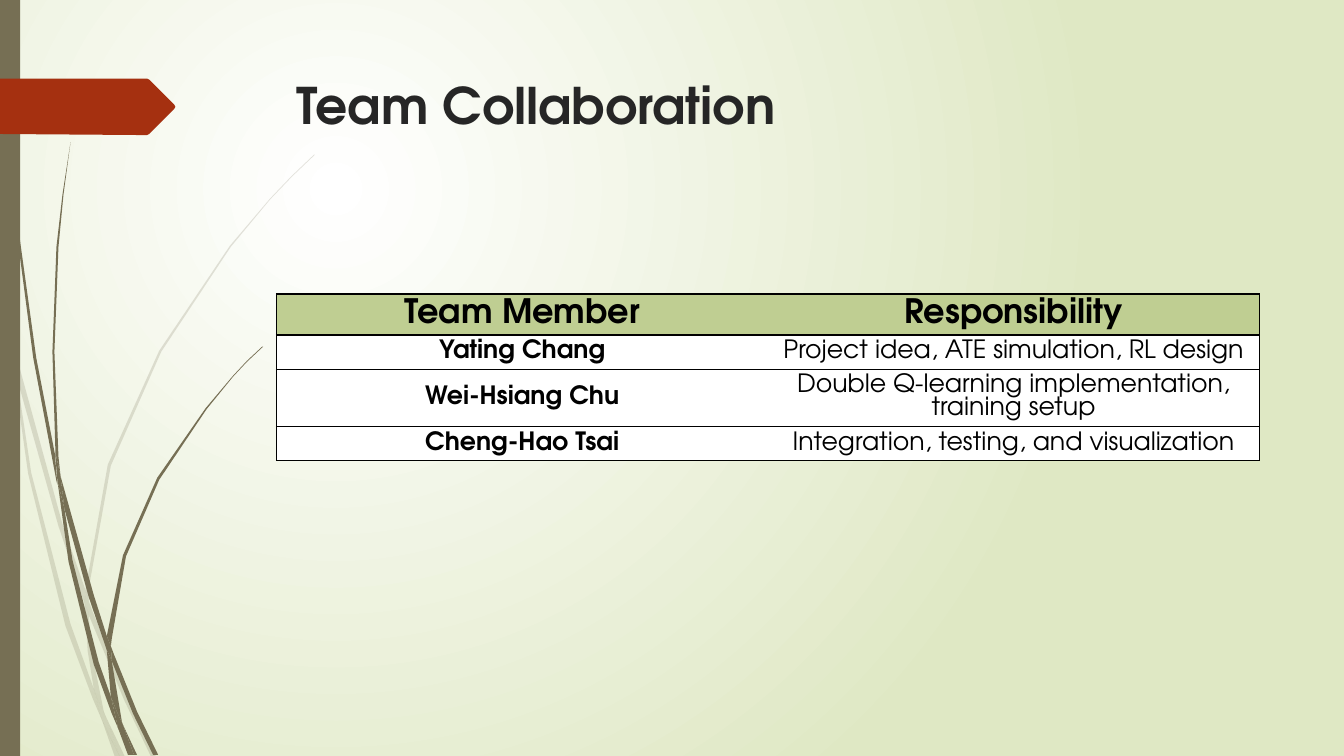
from dataclasses import dataclass

from lxml.etree import SubElement
from pptx import Presentation
from pptx.dml.color import RGBColor
from pptx.enum.shapes import MSO_SHAPE
from pptx.enum.text import MSO_ANCHOR, MSO_AUTO_SIZE, PP_ALIGN
from pptx.oxml.ns import qn
from pptx.util import Pt

RECTANGLE = MSO_SHAPE.RECTANGLE
TOP, MIDDLE = MSO_ANCHOR.TOP, MSO_ANCHOR.MIDDLE
LEFT, CENTER = PP_ALIGN.LEFT, PP_ALIGN.CENTER
NO_AUTOFIT = MSO_AUTO_SIZE.NONE

FONT = "TeX Gyre Adventor"
COLORS = {
    "glow": "FFFFFF",
    "meadow": "DFE8C4",
    "stem": "766F54",
    "arrow": "A53010",
    "title": "262626",
    "text": "000000",
    "border": "000000",
    "header": "BFCE92",
    "body": "FFFFFF",
}
OUTLINE_UNIT = Pt(0.72)


@dataclass(frozen=True)
class Grass:
    opacity: int
    blades: tuple[tuple[int, ...], ...]


@dataclass(frozen=True)
class Row:
    member: str
    responsibility: str
    height: float
    size: int = 18
    spacing: float = 16.5
    fill: str = "body"
    bold_responsibility: bool = False


PALE_GRASS = Grass(20, (
    (11, 350, 9, 322, 0, 282, 0, 299, 10, 344),
    (58, 522, 84, 599, 85, 586, 62, 520, 14, 345, 17, 376),
    (92, 607, 88, 596, 88, 610, 123, 694, 150, 751, 155, 751, 127, 692),
    (119, 751, 124, 751, 105, 711),
    (93, 683, 70, 619, 31, 469, 17, 376, 11, 350, 28, 470, 65, 621, 92, 693,
     101, 714, 99, 707),
    (84, 599, 87, 646, 93, 683, 96, 692, 105, 711, 103, 706, 91, 646, 88, 610, 88, 608),
    (88, 584, 110, 462, 160, 349, 229, 245, 268, 198, 290, 175, 312, 154, 312, 153,
     289, 175, 268, 197, 228, 244, 158, 348, 107, 461, 85, 584, 85, 586, 88, 596),
    (101, 714, 114, 751, 119, 751),
    (88, 608, 88, 610, 88, 596, 85, 586, 84, 599),
    (96, 692, 93, 683, 99, 707, 101, 714, 119, 751, 105, 711),
))

DARK_GRASS = Grass(100, (
    (7, 110, 17, 233, 33, 355, 56, 477, 57, 481, 55, 457, 55, 453, 36, 355,
     19, 232, 8, 109, 5, 48, 4, 0, 3, 0, 4, 48),
    (88, 592, 106, 645, 106, 633, 106, 631, 93, 590, 60, 472, 64, 505),
    (113, 649, 110, 641, 111, 656, 132, 708, 152, 749, 157, 749, 136, 706),
    (110, 691, 98, 657, 72, 556, 64, 505, 57, 477, 68, 557, 93, 659, 111, 708,
     117, 722, 116, 717),
    (60, 472, 58, 453, 54, 349, 58, 245, 63, 193, 70, 141, 62, 193, 56, 245,
     52, 349, 55, 449),
    (133, 749, 136, 749, 122, 719),
    (57, 477, 64, 505, 60, 472, 55, 449, 55, 453),
    (111, 633, 125, 552, 158, 476, 205, 406, 231, 374, 245, 359, 261, 344, 260, 344,
     245, 358, 231, 373, 204, 405, 156, 474, 122, 551, 106, 631, 110, 641),
    (117, 722, 127, 749, 131, 749),
    (106, 645, 110, 691, 116, 706, 122, 719, 121, 716, 111, 656, 109, 651),
    (106, 645, 109, 651, 111, 656, 110, 641, 106, 631),
    (116, 706, 110, 691, 116, 717, 117, 722, 130, 749, 133, 749, 122, 719),
))

ARROW = (173, 108, 148, 133, 146, 134, 136, 134, 0, 133, 0, 78, 146, 78, 148, 79,
         173, 104, 174, 106)

ROWS = (
    Row("Team Member", "Responsibility", 29.3, 24, 22, "header", True),
    Row("Yating Chang", "Project idea, ATE simulation, RL design", 24.5),
    Row("Wei-Hsiang Chu", "Double Q-learning implementation, training setup", 40.7),
    Row("Cheng-Hao Tsai", "Integration, testing, and visualization", 24.5),
)


def rgb(name: str) -> RGBColor:
    return RGBColor.from_string(COLORS[name])


def paint(shape, color: str, opacity: int = 100) -> None:
    shape.shadow.inherit = False
    shape.line.fill.background()
    shape.fill.solid()
    shape.fill.fore_color.rgb = rgb(color)
    if opacity < 100:
        color_node = shape.element.spPr.find(qn("a:solidFill"))[0]
        SubElement(color_node, qn("a:alpha")).set("val", str(opacity * 1000))


def draw_outline(shapes, numbers: tuple[int, ...], color: str, opacity: int = 100) -> None:
    start, *others = zip(numbers[::2], numbers[1::2])
    builder = shapes.build_freeform(*start, scale=OUTLINE_UNIT)
    builder.add_line_segments(others, close=True)
    paint(builder.convert_to_shape(), color, opacity)


def draw_grass(page, grass: Grass) -> None:
    group = page.shapes.add_group_shape()
    for blade in grass.blades:
        draw_outline(group.shapes, blade, "stem", grass.opacity)


def fill_background(page) -> None:
    fill = page.background.fill
    fill.gradient()
    for stop, color in zip(fill.gradient_stops, ("glow", "meadow")):
        stop.color.rgb = rgb(color)
    linear = page.element.find(".//" + qn("a:lin"))
    gradient = linear.getparent()
    gradient.remove(linear)
    circle = SubElement(gradient, qn("a:path"))
    circle.set("path", "circle")
    focus = SubElement(circle, qn("a:fillToRect"))
    for side, value in zip("ltrb", (50000, 50000, 100000, 100000)):
        focus.set(side, str(value))


def style_font(font, size: int, color: str, bold: bool) -> None:
    font.name = FONT
    font.size = Pt(size)
    font.bold = bold
    font.color.rgb = rgb(color)


def set_title(page, text: str) -> None:
    title = page.shapes.title
    title.left, title.top, title.width, title.height = Pt(204.5), Pt(49), Pt(702), Pt(101)
    frame = title.text_frame
    frame.text = text
    frame.auto_size = NO_AUTOFIT
    frame.vertical_anchor = TOP
    para = frame.paragraphs[0]
    para.alignment = LEFT
    style_font(para.font, 36, "title", True)


def set_borders(cell, open_side: str) -> None:
    properties = cell._tc.get_or_add_tcPr()
    for position, side in enumerate("LRTB"):
        line = properties.makeelement(qn("a:ln" + side), {"w": str(Pt(1))})
        properties.insert(position, line)
        if side == open_side:
            SubElement(line, qn("a:noFill"))
        else:
            solid = SubElement(line, qn("a:solidFill"))
            SubElement(solid, qn("a:srgbClr")).set("val", COLORS["border"])


def fill_cell(cell, text: str, row: Row, bold: bool, open_side: str) -> None:
    cell.text = text
    cell.vertical_anchor = MIDDLE
    cell.fill.solid()
    cell.fill.fore_color.rgb = rgb(row.fill)
    para = cell.text_frame.paragraphs[0]
    para.alignment = CENTER
    para.line_spacing = Pt(row.spacing)
    style_font(para.font, row.size, "text", bold)
    set_borders(cell, open_side)


def draw_table(page) -> None:
    height = sum(row.height for row in ROWS)
    frame = page.shapes.add_table(len(ROWS), 2, Pt(197.5), Pt(210), Pt(702), Pt(height))
    table = frame.table
    table.first_row = False
    table.horz_banding = False
    for index, row in enumerate(ROWS):
        table.rows[index].height = Pt(row.height)
        fill_cell(table.cell(index, 0), row.member, row, True, "R")
        fill_cell(table.cell(index, 1), row.responsibility, row, row.bold_responsibility, "L")


def main() -> None:
    deck = Presentation()
    deck.slide_width, deck.slide_height = Pt(960), Pt(540)
    page = deck.slides.add_slide(deck.slide_layouts[5])
    fill_background(page)
    draw_grass(page, PALE_GRASS)
    draw_grass(page, DARK_GRASS)
    paint(page.shapes.add_shape(RECTANGLE, 0, 0, Pt(14.4), Pt(540)), "stem")
    draw_outline(page.shapes, ARROW, "arrow")
    set_title(page, "Team Collaboration")
    draw_table(page)
    deck.save("out.pptx")


if __name__ == "__main__":
    main()
